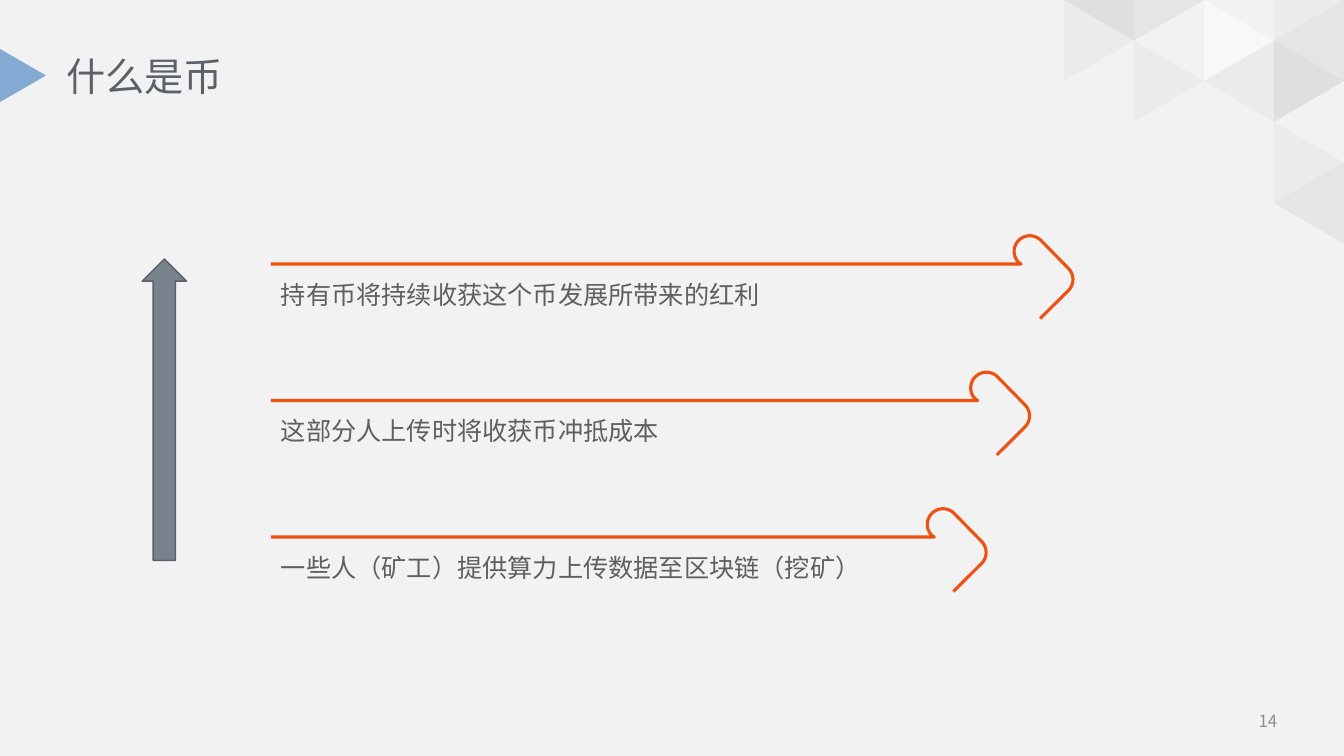
from dataclasses import dataclass
from math import cos, radians, sin

from lxml import etree
from pptx import Presentation
from pptx.dml.color import RGBColor
from pptx.enum.shapes import MSO_SHAPE
from pptx.enum.text import MSO_ANCHOR, PP_ALIGN
from pptx.oxml.ns import qn
from pptx.shapes.autoshape import Shape
from pptx.slide import Slide
from pptx.text.text import TextFrame
from pptx.util import Pt

TRIANGLE = MSO_SHAPE.ISOSCELES_TRIANGLE
UP_ARROW = MSO_SHAPE.UP_ARROW
MIDDLE = MSO_ANCHOR.MIDDLE
LEFT, RIGHT = PP_ALIGN.LEFT, PP_ALIGN.RIGHT

CJK_FONT = "Noto Sans CJK SC"
BODY_FONT = "Arial"

WHITE = RGBColor(0xFF, 0xFF, 0xFF)
PALE = RGBColor(0xF2, 0xF2, 0xF2)
LIGHT = RGBColor(0xE7, 0xE6, 0xE6)
SILVER = RGBColor(0xD9, 0xD9, 0xD9)
WARM_GRAY = RGBColor(0xD0, 0xCE, 0xCE)
BLUE = RGBColor(0x82, 0xAA, 0xD2)
ORANGE = RGBColor(0xED, 0x51, 0x13)
SLATE = RGBColor(0x78, 0x82, 0x8C)
SLATE_EDGE = RGBColor(0x59, 0x60, 0x68)
TITLE_GRAY = RGBColor(0x5A, 0x61, 0x69)
TEXT_GRAY = RGBColor(0x5F, 0x5F, 0x5F)
NUMBER_GRAY = RGBColor(0x8C, 0x8C, 0x8C)

FACET_SIDE, FACET_DEPTH = 58, 50
FACET_LEFT = 760

STEP_LEFT = 193.5
FIRST_STEP_Y, STEP_PITCH = 188.6, 97.5
FIRST_TIP_X, TIP_SHIFT = 766.4, 31
BEND_RADIUS = 11.2


@dataclass(frozen=True)
class Facet:
    column: int
    row: int
    color: RGBColor


@dataclass(frozen=True)
class Step:
    text: str
    line_y: float
    tip_x: float


FACETS = [
    Facet(0, 0, WARM_GRAY), Facet(1, 0, SILVER), Facet(2, 0, PALE), Facet(3, 0, LIGHT),
    Facet(0, 1, LIGHT), Facet(1, 1, PALE), Facet(2, 1, WHITE), Facet(3, 1, SILVER),
    Facet(2, 2, LIGHT), Facet(3, 2, WARM_GRAY),
    Facet(2, 3, PALE), Facet(3, 3, PALE),
    Facet(2, 4, PALE), Facet(3, 4, LIGHT),
    Facet(3, 5, PALE), Facet(3, 5, SILVER),
    Facet(1, 2, LIGHT),
]
STEP_TEXTS = [
    "持有币将持续收获这个币发展所带来的红利",
    "这部分人上传时将收获币冲抵成本",
    "一些人（矿工）提供算力上传数据至区块链（挖矿）",
]
STEPS = [
    Step(text, FIRST_STEP_Y + i * STEP_PITCH, FIRST_TIP_X - i * TIP_SHIFT)
    for i, text in enumerate(STEP_TEXTS)
]


def write(frame: TextFrame, text: str, size: float, color: RGBColor,
          font_name: str = CJK_FONT, align: PP_ALIGN = LEFT) -> None:
    frame.text = text
    frame.word_wrap = True
    frame.vertical_anchor = MIDDLE
    paragraph = frame.paragraphs[0]
    paragraph.alignment = align
    font = paragraph.runs[0].font
    font.size = Pt(size)
    font.color.rgb = color
    font.name = font_name
    east_asian = etree.SubElement(paragraph.runs[0]._r.get_or_add_rPr(), qn("a:ea"))
    east_asian.set("typeface", CJK_FONT)


def add_triangle(slide: Slide, left: float, top: float, side: float, depth: float,
                 rotation: int, color: RGBColor) -> Shape:
    triangle = slide.shapes.add_shape(TRIANGLE, Pt(left), Pt(top), Pt(side), Pt(depth))
    triangle.rotation = rotation
    triangle.shadow.inherit = False
    triangle.fill.solid()
    triangle.fill.fore_color.rgb = color
    triangle.line.fill.background()
    return triangle


def add_facet(slide: Slide, facet: Facet) -> None:
    """Draw a half-transparent triangle; neighbours point in opposite directions."""
    center_x = FACET_LEFT + (facet.column + 0.5) * FACET_DEPTH
    center_y = facet.row * FACET_SIDE / 2
    rotation = 90 if (facet.column + facet.row) % 2 else 270
    triangle = add_triangle(slide, center_x - FACET_SIDE / 2, center_y - FACET_DEPTH / 2,
                            FACET_SIDE, FACET_DEPTH, rotation, facet.color)
    color_node = triangle._element.spPr.find(qn("a:solidFill"))[0]
    etree.SubElement(color_node, qn("a:alpha")).set("val", "50000")


def arc(center_x: float, center_y: float, start: int, end: int) -> list[tuple[float, float]]:
    """Points clockwise on screen, with the angles in degrees."""
    return [(center_x + BEND_RADIUS * cos(radians(angle)),
             center_y + BEND_RADIUS * sin(radians(angle)))
            for angle in range(start, end + 1, 5)]


def add_step(slide: Slide, step: Step) -> None:
    """Draw a line that ends in a hooked arrowhead, with the text under it."""
    tip, y = step.tip_x, step.line_y
    outline = [
        (tip - 37, y),
        *arc(tip - 30.8, y - 9, 135, 315),
        *arc(tip - BEND_RADIUS, y + 11, -45, 45),
        (tip - 23.4, y + 38.9),
    ]
    builder = slide.shapes.build_freeform(Pt(STEP_LEFT), Pt(y))
    builder.add_line_segments([(Pt(px), Pt(py)) for px, py in outline], close=False)
    arrow = builder.convert_to_shape()
    arrow.shadow.inherit = False
    arrow.fill.background()
    arrow.line.color.rgb = ORANGE
    arrow.line.width = Pt(2.25)
    frame = arrow.text_frame
    frame.margin_left = frame.margin_right = Pt(7.2)
    frame.margin_top, frame.margin_bottom = Pt(28), Pt(3.6)
    write(frame, step.text, 18, TEXT_GRAY, BODY_FONT)


def add_rising_arrow(slide: Slide) -> None:
    arrow = slide.shapes.add_shape(UP_ARROW, Pt(101.5), Pt(185), Pt(31.7), Pt(215.3))
    arrow.shadow.inherit = False
    arrow.fill.solid()
    arrow.fill.fore_color.rgb = SLATE
    arrow.line.color.rgb = SLATE_EDGE
    arrow.line.width = Pt(1)


def add_title(slide: Slide) -> None:
    title = slide.shapes.title
    title.left, title.top, title.width, title.height = Pt(40.3), Pt(28.8), Pt(878.4), Pt(50.4)
    write(title.text_frame, "什么是币", 28, TITLE_GRAY)


def add_page_number(slide: Slide) -> None:
    number = slide.shapes.add_textbox(Pt(882), Pt(500.4), Pt(37.4), Pt(28.8))
    write(number.text_frame, "14", 12, NUMBER_GRAY, align=RIGHT)


def main() -> None:
    presentation = Presentation()
    presentation.slide_width, presentation.slide_height = Pt(960), Pt(540)
    slide = presentation.slides.add_slide(presentation.slide_layouts[5])
    slide.background.fill.solid()
    slide.background.fill.fore_color.rgb = PALE
    for facet in FACETS:
        add_facet(slide, facet)
    add_triangle(slide, -2.8, 37.4, 38.2, 33.1, 90, BLUE)
    add_title(slide)
    add_page_number(slide)
    for step in STEPS:
        add_step(slide, step)
    add_rising_arrow(slide)
    presentation.save("out.pptx")


if __name__ == "__main__":
    main()
